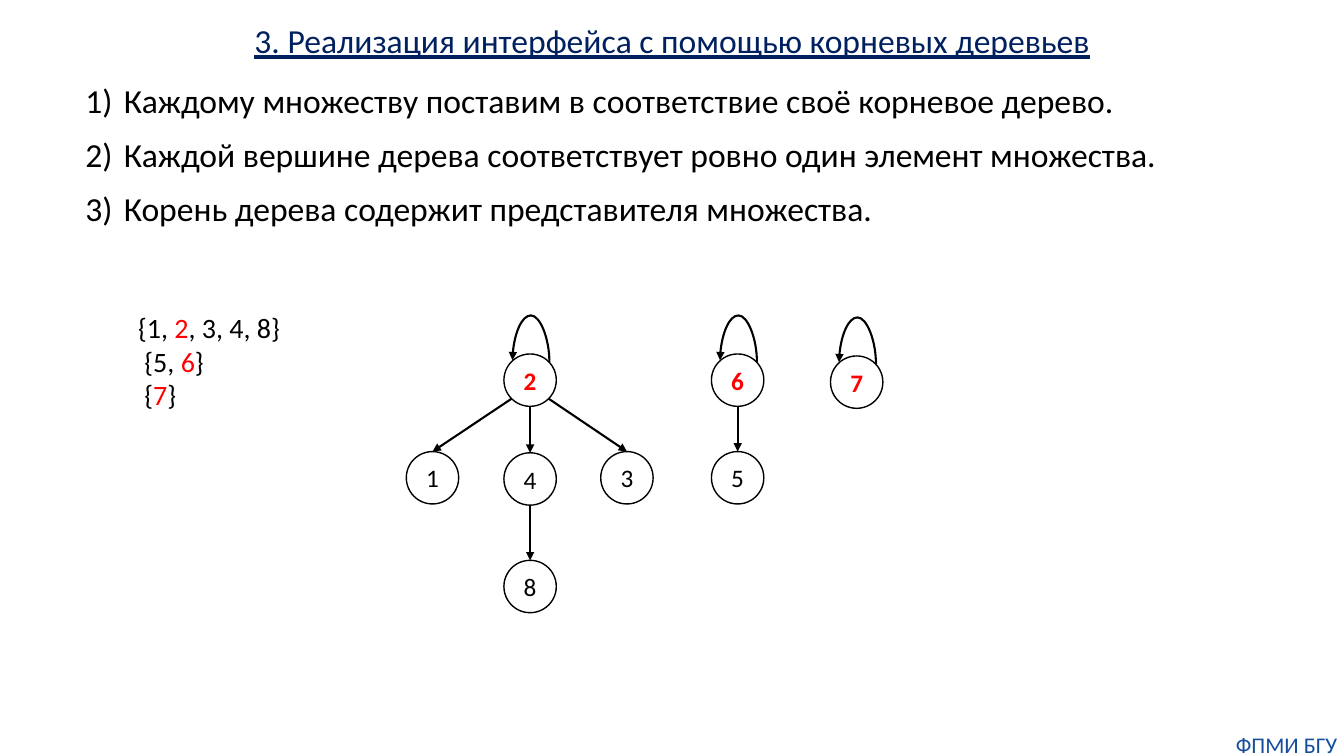
"""Builds a slide on representing disjoint sets with rooted trees."""
import math

import pptx
import pptx.dml.color
import pptx.enum.shapes
import pptx.enum.text
import pptx.oxml.ns
import pptx.util
from lxml import etree

Cm, Pt = pptx.util.Cm, pptx.util.Pt
RGBColor = pptx.dml.color.RGBColor
PP_ALIGN = pptx.enum.text.PP_ALIGN
MSO_CONNECTOR = pptx.enum.shapes.MSO_CONNECTOR
qn = pptx.oxml.ns.qn

BLACK = RGBColor(0x00, 0x00, 0x00)
RED = RGBColor(0xFF, 0x00, 0x00)
NAVY = RGBColor(0x00, 0x20, 0x60)
BLUE = RGBColor(0x14, 0x4E, 0x9D)

RADIUS = 0.66
DIAGONAL = RADIUS * math.cos(math.pi / 4)
LOOP_DX, LOOP_DY = 0.02, -0.48
LOOP_SPAN, LOOP_DROP, LOOP_RISE = 0.93, 0.04, 1.17

RULES = [
    "Каждому множеству поставим в соответствие своё корневое дерево.",
    "Каждой вершине дерева соответствует ровно один элемент множества.",
    "Корень дерева содержит представителя множества.",
]
SETS = [
    (0, ["{1, ", "2", ", 3, 4, 8}"]),
    (0.16, ["{5, ", "6", "}"]),
    (0.16, ["{", "7", "}"]),
]
CENTERS = {
    "2": (13.36, 9.58), "1": (10.9, 12.04), "4": (13.36, 12.07),
    "3": (15.8, 12.04), "8": (13.36, 14.78),
    "6": (18.59, 9.58), "5": (18.59, 12.04), "7": (21.59, 9.63),
}
ROOTS = ["2", "6", "7"]
EDGES = [("2", "1"), ("2", "4"), ("2", "3"), ("4", "8"), ("6", "5")]


def add_run(p, text, size, color, **formats):
    """Append a formatted run to a paragraph."""
    r = p.add_run()
    r.text = text
    r.font.color.rgb = color
    for name, value in {"name": "Calibri", "size": Pt(size), **formats}.items():
        setattr(r.font, name, value)


def add_box(s, left, top, width, height, **formats):
    """Add an empty text box and return its text frame."""
    tf = s.shapes.add_textbox(Cm(left), Cm(top), Cm(width), Cm(height)).text_frame
    auto_size = pptx.enum.text.MSO_AUTO_SIZE.SHAPE_TO_FIT_TEXT
    for name, value in {"word_wrap": True, "auto_size": auto_size, **formats}.items():
        setattr(tf, name, value)
    return tf


def add_paragraph(tf, index):
    """Return the first paragraph of a frame or a new one."""
    return tf.add_paragraph() if index else tf.paragraphs[0]


def add_caption(s, box, text, size, color, underline=False, **formats):
    """Add one centred line of text."""
    p = add_box(s, *box, **formats).paragraphs[0]
    p.alignment = PP_ALIGN.CENTER
    add_run(p, text, size, color, underline=underline)


def add_rules(s):
    """Add the numbered statements."""
    tf = add_box(s, 1.9, 1.88, 28.63, 4.04)
    for i, text in enumerate(RULES):
        p = add_paragraph(tf, i)
        pPr = p._p.get_or_add_pPr()
        pPr.set("marL", str(Cm(0.97)))
        pPr.set("indent", str(-Cm(0.97)))
        etree.SubElement(pPr, qn("a:buFont"), typeface="+mj-lt")
        etree.SubElement(pPr, qn("a:buAutoNum"), type="arabicParenR")
        p.space_after = Pt(10)
        add_run(p, text, 24, BLACK)


def add_sets(s):
    """Add the list of sets with highlighted representatives."""
    tf = add_box(s, 3.23, 7.7, 4.11, 2.82, word_wrap=False)
    for i, (indent, parts) in enumerate(SETS):
        p = add_paragraph(tf, i)
        p._p.get_or_add_pPr().set("marL", str(Cm(indent)))
        for text in parts:
            add_run(p, text, 20, RED if text in ROOTS else BLACK)


def add_node(s, label):
    """Add a tree vertex with its element."""
    x, y = CENTERS[label]
    sp = s.shapes.add_shape(
        pptx.enum.shapes.MSO_SHAPE.OVAL,
        Cm(x - RADIUS), Cm(y - RADIUS), Cm(2 * RADIUS), Cm(2 * RADIUS))
    sp.shadow.inherit = False
    sp.fill.background()
    sp.line.color.rgb = BLACK
    sp.line.width = Pt(1)
    tf = sp.text_frame
    formats = {"margin_left": 0, "margin_right": 0, "margin_top": 0,
               "margin_bottom": 0, "word_wrap": False,
               "vertical_anchor": pptx.enum.text.MSO_ANCHOR.MIDDLE}
    for name, value in formats.items():
        setattr(tf, name, value)
    p = tf.paragraphs[0]
    p.alignment = PP_ALIGN.CENTER
    root = label in ROOTS
    add_run(p, label, 18, RED if root else BLACK, bold=root)
    return sp


def add_arrow(s, kind, *ends):
    """Add a black connector with an arrowhead at its end."""
    c = s.shapes.add_connector(kind, *map(Cm, ends))
    c.line.color.rgb = BLACK
    c.line.width = Pt(1.5)
    etree.SubElement(c.line._get_or_add_ln(), qn("a:tailEnd"), type="triangle")
    etree.SubElement(c._element.spPr, qn("a:effectLst"))
    return c


def add_edge(s, nodes, parent, child):
    """Add an arrow from a parent to the top of its child."""
    (x1, y1), (x2, y2) = CENTERS[parent], CENTERS[child]
    side = (x2 > x1) - (x2 < x1)
    c = add_arrow(s, MSO_CONNECTOR.STRAIGHT, x1 + side * DIAGONAL,
                  y1 + (DIAGONAL if side else RADIUS), x2, y2 - RADIUS)
    c.end_connect(nodes[child], 0)


def add_loop(s, label):
    """Add a curved arrow from a root to itself."""
    x, y = CENTERS[label]
    x, y = x + LOOP_DX, y + LOOP_DY
    dx, dy = LOOP_DROP / 2, LOOP_SPAN / 2
    c = add_arrow(s, MSO_CONNECTOR.CURVE, x - dx, y + dy, x + dx, y - dy)
    spPr = c._element.spPr
    spPr.find(qn("a:xfrm")).set("rot", str(270 * 60000))
    geom = spPr.find(qn("a:prstGeom"))
    guides = geom.find(qn("a:avLst"))
    if guides is None:
        guides = etree.SubElement(geom, qn("a:avLst"))
    bend = round(LOOP_RISE / LOOP_DROP * 100000)
    etree.SubElement(guides, qn("a:gd"), name="adj1", fmla=f"val {bend}")


def main():
    """Build and save the slide."""
    prs = pptx.Presentation()
    prs.slide_width, prs.slide_height = Cm(33.87), Cm(19.05)
    s = prs.slides.add_slide(prs.slide_layouts[6])
    add_caption(s, (30.99, 18.42, 2.87, 0.69), "ФПМИ БГУ", 16, BLUE,
                margin_left=0, margin_right=0, margin_top=0, margin_bottom=0)
    add_caption(s, (4.06, 0.38, 25.76, 1.27),
                "3. Реализация интерфейса с помощью корневых деревьев",
                24, NAVY, underline=True)
    add_rules(s)
    add_sets(s)
    nodes = {label: add_node(s, label) for label in CENTERS}
    for parent, child in EDGES:
        add_edge(s, nodes, parent, child)
    for label in ROOTS:
        add_loop(s, label)
    prs.save("out.pptx")


if __name__ == "__main__":
    main()
